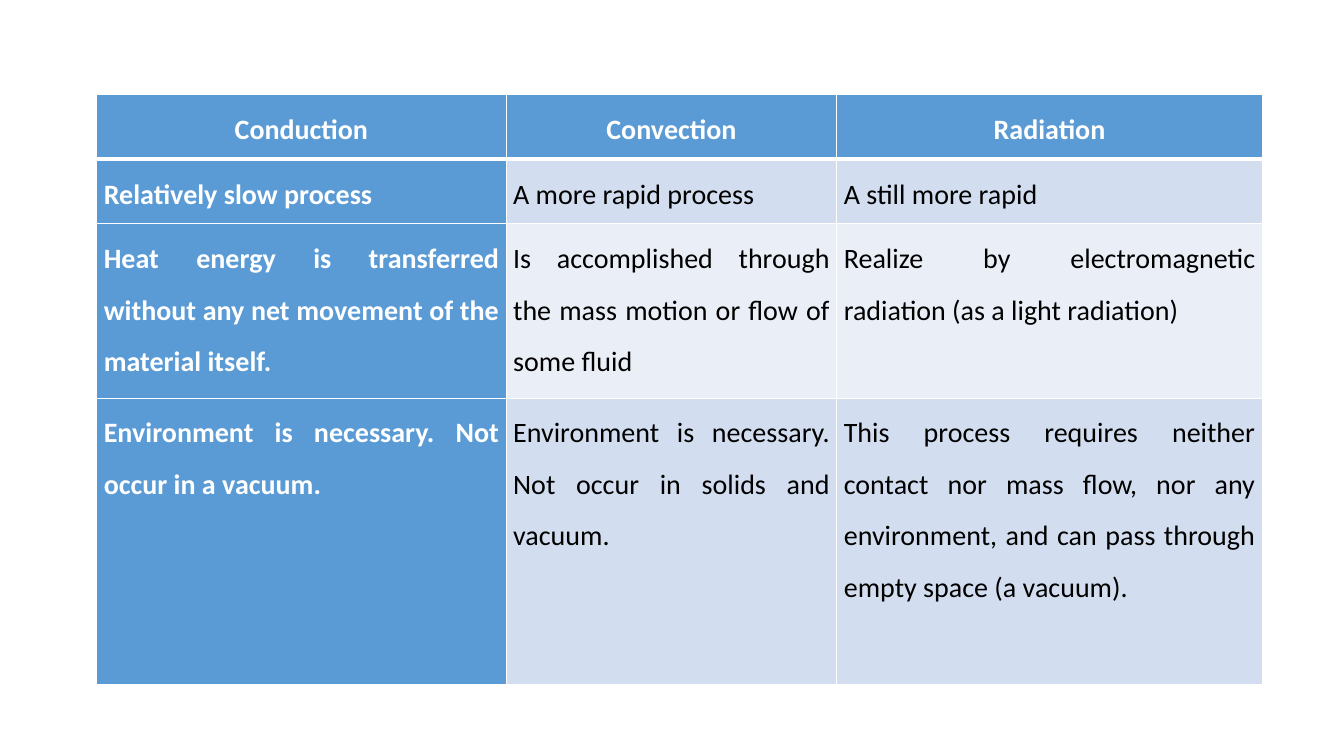
"""Build a slide with a table comparing conduction, convection and radiation."""
import pptx
import pptx.dml.color
import pptx.enum.text
import pptx.oxml
import pptx.oxml.ns
import pptx.util
from pptx.util import Inches

HEAT_TRANSFER = [
    ("Conduction", "Convection", "Radiation"),
    ("Relatively slow process", "A more rapid process", "A still more rapid"),
    (
        "Heat energy is transferred without any net movement of the material itself.",
        "Is accomplished through the mass motion or flow of some fluid",
        "Realize by electromagnetic radiation (as a light radiation)",
    ),
    (
        "Environment is necessary. Not occur in a vacuum.",
        "Environment is necessary. Not occur in solids and vacuum.",
        "This process requires neither contact nor mass flow, nor any environment, "
        "and can pass through empty space (a vacuum).",
    ),
]
COLUMN_WIDTHS = (4.06, 3.28, 4.22)
ROW_HEIGHTS = (0.64, 0.64, 1.73, 2.84)
COLORS = {
    "accent": "5B9BD5",
    "band_dark": "D2DEEF",
    "band_light": "EAEFF7",
    "white": "FFFFFF",
    "black": "000000",
}


def rgb(name):
    return pptx.dml.color.RGBColor.from_string(COLORS[name])


def add_border(cell, side, points):
    cell._tc.get_or_add_tcPr().append(pptx.oxml.parse_xml(
        f'<a:ln{side} {pptx.oxml.ns.nsdecls("a")} w="{pptx.util.Pt(points)}">'
        f'<a:solidFill><a:srgbClr val="{COLORS["white"]}"/></a:solidFill></a:ln{side}>'
    ))


def format_cell(cell, row, column):
    emphasized = row == 0 or column == 0
    cell.margin_left = cell.margin_right = Inches(0.07)
    cell.margin_top, cell.margin_bottom = Inches(0.01), 0
    for side in "LRTB":
        under_header = (row, side) in ((0, "B"), (1, "T"))
        add_border(cell, side, 3 if under_header else 1)
    band = "band_dark" if row % 2 else "band_light"
    cell.fill.solid()
    cell.fill.fore_color.rgb = rgb("accent" if emphasized else band)

    align = pptx.enum.text.PP_ALIGN
    paragraph = cell.text_frame.paragraphs[0]
    if row == 0:
        paragraph.alignment = align.CENTER
    elif row == 1 and column < 2:
        paragraph.alignment = align.LEFT
    else:
        paragraph.alignment = align.JUSTIFY
    paragraph.line_spacing = 1.5
    paragraph.font.name = "Calibri"
    paragraph.font.size = pptx.util.Pt(20)
    paragraph.font.bold = emphasized
    paragraph.font.color.rgb = rgb("white" if emphasized else "black")


def main():
    deck = pptx.Presentation()
    deck.slide_width, deck.slide_height = Inches(13.33), Inches(7.5)
    slide = deck.slides.add_slide(deck.slide_layouts[6])
    comparison = slide.shapes.add_table(
        len(ROW_HEIGHTS), len(COLUMN_WIDTHS), Inches(0.96), Inches(0.94),
        Inches(sum(COLUMN_WIDTHS)), Inches(sum(ROW_HEIGHTS)),
    ).table
    comparison.first_col = True
    for column, width in zip(comparison.columns, COLUMN_WIDTHS):
        column.width = Inches(width)
    for row, height in zip(comparison.rows, ROW_HEIGHTS):
        row.height = Inches(height)
    for row, statements in enumerate(HEAT_TRANSFER):
        for column, statement in enumerate(statements):
            cell = comparison.cell(row, column)
            cell.text = statement
            format_cell(cell, row, column)
    deck.save("out.pptx")


if __name__ == "__main__":
    main()
